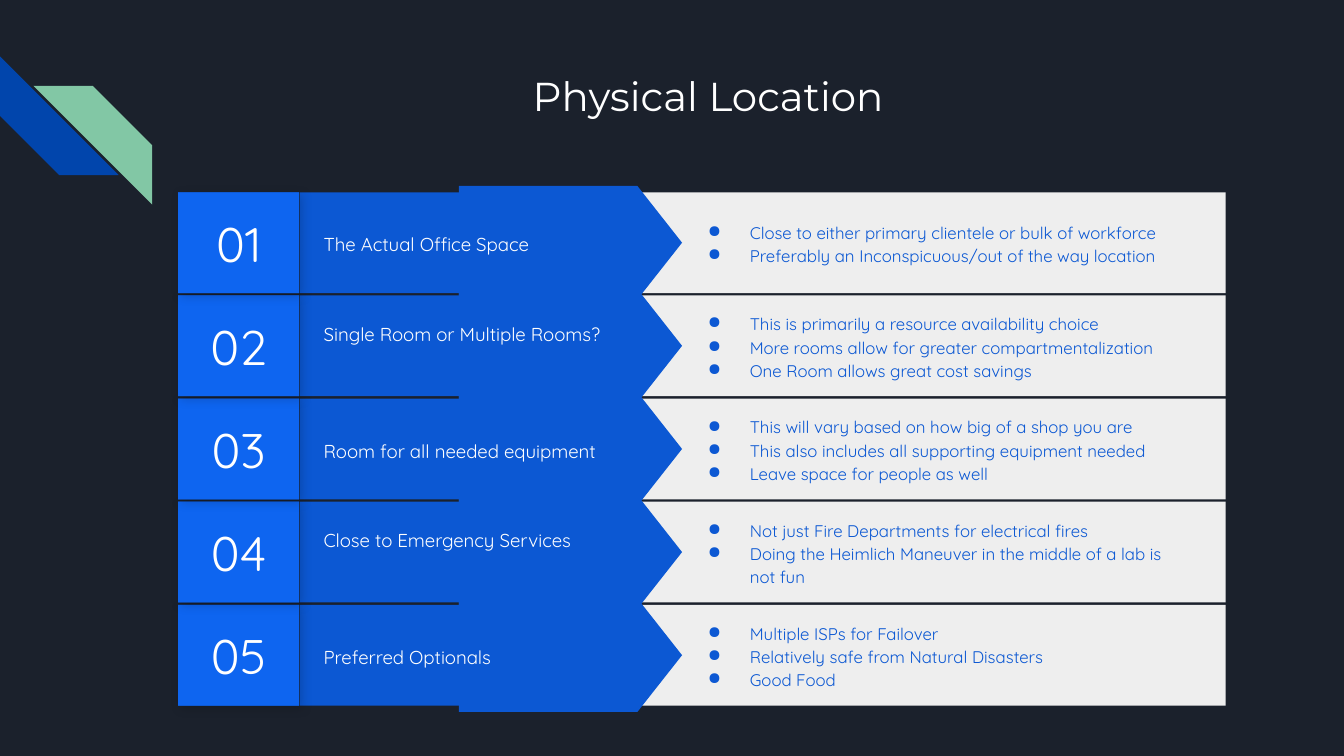
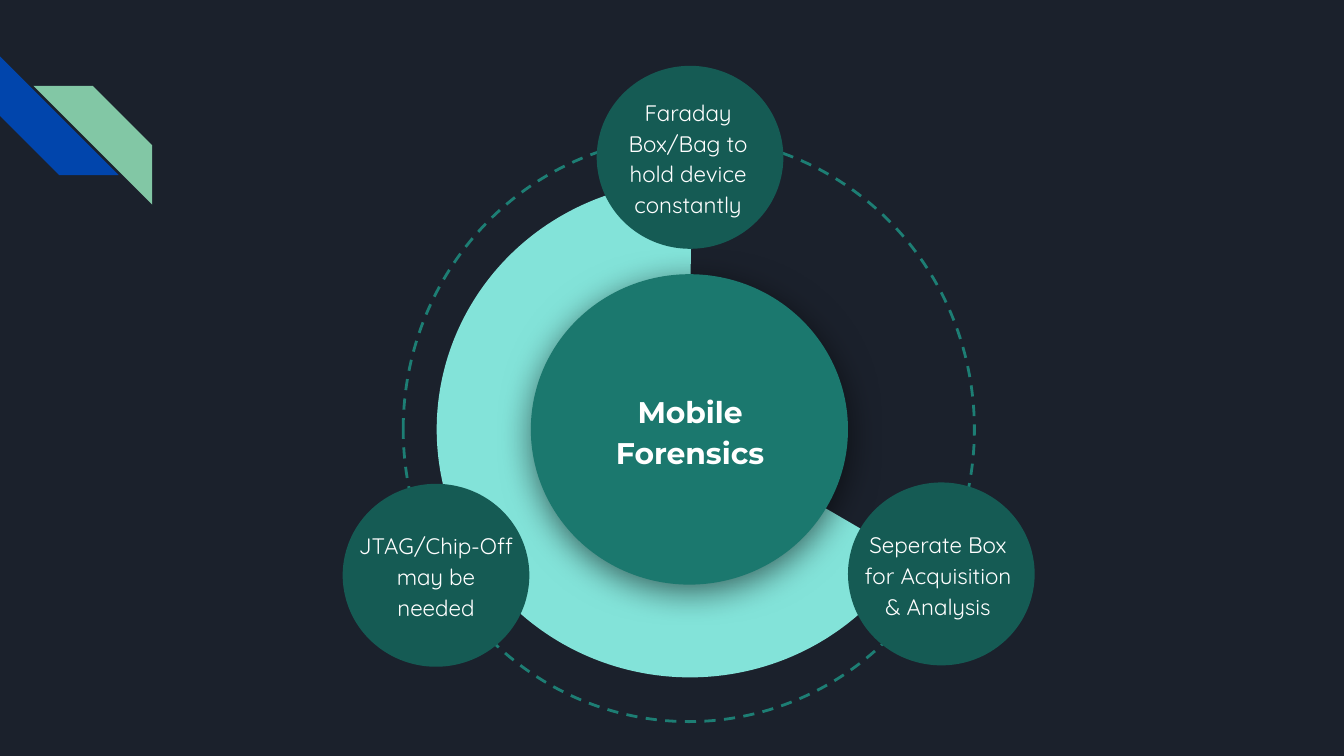
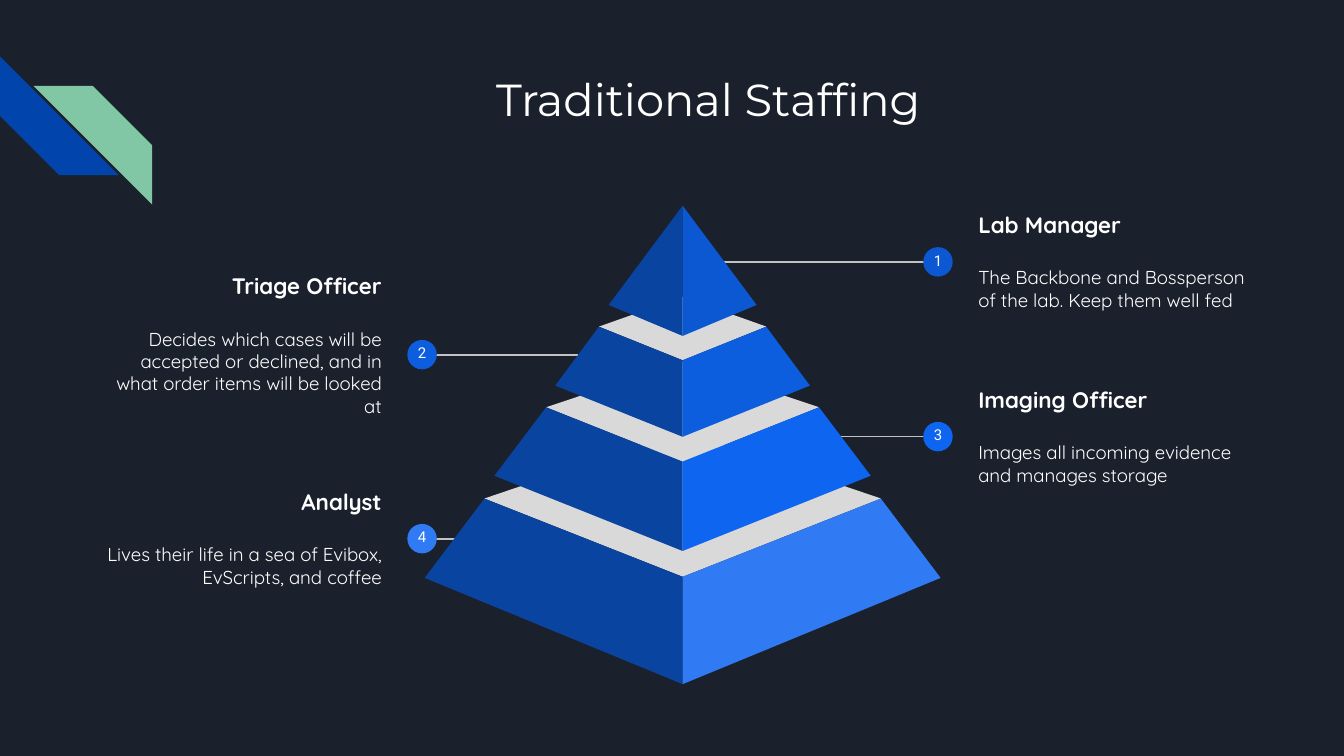
"""Builds three dark slides: a numbered list, a ring diagram and a pyramid."""
import pptx
import pptx.dml.color
import pptx.enum.dml
import pptx.enum.shapes
import pptx.enum.text
import pptx.oxml.ns
import pptx.util
from lxml import etree

Pt = pptx.util.Pt
RGBColor = pptx.dml.color.RGBColor
Shape = pptx.enum.shapes.MSO_SHAPE
Align = pptx.enum.text.PP_ALIGN
Anchor = pptx.enum.text.MSO_ANCHOR
qn = pptx.oxml.ns.qn

NIGHT = RGBColor(0x1B, 0x21, 0x2C)
WHITE = RGBColor(0xFF, 0xFF, 0xFF)
STRIPE_BLUE = RGBColor(0x01, 0x45, 0xAC)
STRIPE_GREEN = RGBColor(0x82, 0xC7, 0xA5)
PANEL = RGBColor(0xEE, 0xEE, 0xEE)
PLATE = RGBColor(0xD9, 0xD9, 0xD9)
RULE = RGBColor(0xC2, 0xC2, 0xC2)
SHADE = RGBColor(0x09, 0x44, 0xA1)
DEEP_BLUE = RGBColor(0x0C, 0x58, 0xD3)
MID_BLUE = RGBColor(0x0D, 0x5D, 0xDF)
BRIGHT_BLUE = RGBColor(0x0E, 0x65, 0xF0)
LIGHT_BLUE = RGBColor(0x30, 0x7B, 0xF3)
DARK_TEAL = RGBColor(0x15, 0x5B, 0x54)
TEAL = RGBColor(0x1B, 0x78, 0x6E)
RING_TEAL = RGBColor(0x1D, 0x7E, 0x74)
MINT = RGBColor(0x83, 0xE3, 0xD9)

HEAD_FONT, BODY_FONT, NUMBER_FONT = "Montserrat", "Quicksand", "Roboto"
TITLE_ONLY, BLANK = 5, 6
INSET = 7.2

LOCATION_ROWS = [
    ("The Actual Office Space", 0, [
        "Close to either primary clientele or bulk of workforce",
        "Preferably an Inconspicuous/out of the way location"]),
    ("Single Room or Multiple Rooms?", 14.4, [
        "This is primarily a resource availability choice",
        "More rooms allow for greater compartmentalization",
        "One Room allows great cost savings"]),
    ("Room for all needed equipment", 0, [
        "This will vary based on how big of a shop you are",
        "This also includes all supporting equipment needed",
        "Leave space for people as well"]),
    ("Close to Emergency Services", 14.4, [
        "Not just Fire Departments for electrical fires",
        "Doing the Heimlich Maneuver in the middle of a lab is not fun"]),
    ("Preferred Optionals", 0, [
        "Multiple ISPs for Failover",
        "Relatively safe from Natural Disasters",
        "Good Food"]),
]

SATELLITES = [
    ((319.7, 35.3), (323.3, 90.7), "Faraday Box/Bag to hold device constantly"),
    ((183.6, 259.2), (183.6, 100), "JTAG/Chip-Off may be needed"),
    ((454.3, 258.5), (454.3, 96.5), "Seperate Box for Acquisition & Analysis"),
]

STAFF = [
    ("1", "Lab Manager", "The Backbone and Bossperson of the lab. Keep them well fed",
     140.4, 386.6, DEEP_BLUE, 0),
    ("2", "Triage Officer", "Decides which cases will be accepted or declined, "
     "and in what order items will be looked at", 190.1, None, MID_BLUE, 10),
    ("3", "Imaging Officer", "Images all incoming evidence and manages storage",
     234, 449.3, BRIGHT_BLUE, 0),
    ("4", "Analyst", "Lives their life in a sea of Evibox, EvScripts, and coffee",
     288.7, None, LIGHT_BLUE, 0),
]

AXIS = 365.7
TIERS = [
    {"shoulder": (106.2, 267.1), "back": 231.1, "front": 309,
     "base": (138.2, 309.6), "foot": 366.5, "color": LIGHT_BLUE},
    {"shoulder": (73.1, 218.2), "back": 193.7, "front": 247.3,
     "base": (100.8, 254.9), "foot": 295.2, "color": BRIGHT_BLUE},
    {"shoulder": (44.8, 175), "back": 159.1, "front": 193,
     "base": (68.2, 206.6), "foot": 234, "color": MID_BLUE},
    {"shoulder": (0, 110.2), "back": None, "front": 110.2,
     "base": (39.6, 163.4), "foot": 180, "color": DEEP_BLUE},
]


class Painter:
    """Holds the deck, its style and the slide being drawn."""

    def __init__(self):
        self.deck = pptx.Presentation()
        self.deck.slide_width, self.deck.slide_height = Pt(720), Pt(405)
        fill = self.deck.slide_master.background.fill
        fill.solid()
        fill.fore_color.rgb = NIGHT
        self.page = None

    def new_page(self, title=None, size=24):
        """Starts a slide with the corner stripes and an optional title."""
        layout = self.deck.slide_layouts[BLANK if title is None else TITLE_ONLY]
        self.page = self.deck.slides.add_slide(layout)
        self.shape(Shape.DIAGONAL_STRIPE, 0, 30.2, 63.6, 63.6, STRIPE_BLUE).rotation = 270
        green = self.shape(Shape.DIAGONAL_STRIPE, 18, 46.1, 63.6, 63.6, STRIPE_GREEN)
        green._element.spPr.find(qn("a:xfrm")).set("flipH", "1")
        if title is not None:
            box = self.page.shapes.title
            box.left, box.top, box.width, box.height = Pt(102.2), Pt(31), Pt(554.4), Pt(72)
            self.frame(box, Anchor.TOP)
            self.add_text(box, title, size, HEAD_FONT, align=Align.CENTER)

    def finish(self, shape, color):
        """Gives a shape a flat fill without outline or shadow."""
        shape.shadow.inherit = False
        shape.line.fill.background()
        if color is None:
            shape.fill.background()
        else:
            shape.fill.solid()
            shape.fill.fore_color.rgb = color
        return shape

    def shape(self, kind, left, top, width, height, color=None):
        """Adds a preset shape."""
        item = self.page.shapes.add_shape(kind, Pt(left), Pt(top), Pt(width), Pt(height))
        return self.finish(item, color)

    def outline(self, points, color):
        """Adds a closed polygon."""
        corners = [(Pt(x), Pt(y)) for x, y in points]
        builder = self.page.shapes.build_freeform(*corners[0])
        builder.add_line_segments(corners[1:], close=True)
        return self.finish(builder.convert_to_shape(), color)

    def cast_shadow(self, shape, opacity, blur, distance, angle):
        """Adds a soft black shadow."""
        effects = shape._element.spPr.find(qn("a:effectLst"))
        shadow = etree.SubElement(
            effects, qn("a:outerShdw"), blurRad=str(Pt(blur)), dist=str(Pt(distance)),
            dir=str(angle * 60000), algn="bl", rotWithShape="0")
        black = etree.SubElement(shadow, qn("a:srgbClr"), val="000000")
        etree.SubElement(black, qn("a:alpha"), val=str(opacity * 1000))

    def line(self, start, end, top):
        """Adds a thin level line."""
        rule = self.page.shapes.add_connector(
            pptx.enum.shapes.MSO_CONNECTOR.STRAIGHT, Pt(start), Pt(top), Pt(end), Pt(top))
        rule.line.color.rgb = RULE
        rule.line.width = Pt(0.75)
        etree.SubElement(rule._element.spPr, qn("a:effectLst"))

    def frame(self, box, anchor=Anchor.MIDDLE, lift=0):
        """Sets wrapping, insets and anchor of a text frame."""
        frame = box.text_frame
        frame.word_wrap = True
        frame.auto_size = pptx.enum.text.MSO_AUTO_SIZE.NONE
        frame.vertical_anchor = anchor
        frame.margin_left = frame.margin_right = frame.margin_top = Pt(INSET)
        frame.margin_bottom = Pt(INSET + lift)

    def text_box(self, left, top, width, height, anchor=Anchor.MIDDLE, lift=0):
        """Adds an empty text box."""
        box = self.page.shapes.add_textbox(Pt(left), Pt(top), Pt(width), Pt(height))
        self.frame(box, anchor, lift)
        return box

    def add_text(self, box, text, size, font=BODY_FONT, color=WHITE, align=Align.LEFT,
                 spacing=1.0, bold=False, before=0, bullet=False):
        """Adds one paragraph, using the empty first one when there is one."""
        frame = box.text_frame
        para = frame.paragraphs[0]
        if para.runs:
            para = frame.add_paragraph()
        para.alignment = align
        para.line_spacing = spacing
        if before:
            para.space_before = Pt(before)
        if bullet:
            props = para._p.get_or_add_pPr()
            props.set("marL", str(Pt(36)))
            props.set("indent", str(Pt(-22.5)))
            tint = etree.SubElement(props, qn("a:buClr"))
            etree.SubElement(tint, qn("a:srgbClr"), val=str(color))
            etree.SubElement(props, qn("a:buChar"), char="●")
        span = para.add_run()
        span.text = text
        span.font.name = font
        span.font.size = Pt(size)
        span.font.bold = bold
        span.font.color.rgb = color


def draw_location(painter):
    """Draws the numbered rows, lowest first."""
    painter.new_page("Physical Location", 21.6)
    for index, (label, lift, points) in reversed(list(enumerate(LOCATION_ROWS))):
        top = 103 + 55.25 * index
        painter.shape(Shape.RECTANGLE, 296.6, top, 360, 54, PANEL)
        painter.shape(Shape.RECTANGLE, 160.6, top, 173.5, 54, DEEP_BLUE)
        pointer = painter.shape(Shape.FLOWCHART_OFFPAGE_CONNECTOR,
                                275.2, top - 32.8, 60.8, 119.6, DEEP_BLUE)
        pointer.rotation = 270
        box = painter.text_box(166.3, top + 6.2, 182.9, 41.8, lift=lift)
        painter.add_text(box, label, 10, spacing=1.15)
        under = painter.shape(Shape.RECTANGLE, 95.5, top, 64.8, 54, MID_BLUE)
        painter.cast_shadow(under, 17, 5.6, 2.2, 45)
        tile = painter.shape(Shape.RECTANGLE, 95.5, top, 64.8, 54, BRIGHT_BLUE)
        painter.frame(tile)
        painter.add_text(tile, f"{index + 1:02}", 26, align=Align.CENTER)
        box = painter.text_box(358.6, top, 279.4, 54)
        for point in points:
            painter.add_text(box, point, 9, color=DEEP_BLUE, spacing=1.15, bullet=True)


def draw_forensics(painter):
    """Draws the hub, its ring and the three satellites."""
    painter.new_page()
    ring = painter.shape(Shape.OVAL, 216, 73.4, 306, 313.2)
    ring.line.color.rgb = RING_TEAL
    ring.line.width = Pt(1.5)
    ring.line.dash_style = pptx.enum.dml.MSO_LINE.DASH
    pie = painter.shape(Shape.PIE, 234, 97.2, 271.4, 265.7, MINT)
    pie.adjustments[0], pie.adjustments[1] = 18.12, 162.15
    hub = painter.shape(Shape.OVAL, 284.4, 146.9, 169.9, 166.3, TEAL)
    painter.cast_shadow(hub, 55, 18, 4, 90)
    box = painter.text_box(306.7, 192.2, 126, 75.6)
    painter.add_text(box, "Mobile Forensics", 16, HEAD_FONT, align=Align.CENTER,
                     spacing=1.15, bold=True)
    for (left, top), (text_left, text_width), text in SATELLITES:
        painter.shape(Shape.OVAL, left, top, 100, 98, DARK_TEAL)
        box = painter.text_box(text_left, top + 15.1, text_width, 67)
        painter.add_text(box, text, 12, align=Align.CENTER, spacing=1.15)


def draw_staffing(painter):
    """Draws the staff notes and the pyramid."""
    painter.new_page("Traditional Staffing")
    for number, role, duty, level, edge, color, lift in STAFF:
        on_right = edge is not None
        text_left, dot_left = (517, 494.6) if on_right else (48.2, 218.2)
        align = Align.LEFT if on_right else Align.RIGHT
        box = painter.text_box(text_left, level - 41.8, 163.4, 82.8, lift=lift)
        painter.add_text(box, role, 12, align=align, bold=True)
        painter.add_text(box, duty, 10, align=align, before=15)
        painter.line(*((edge, 508.3) if on_right else (309.6, 220.3)), level)
        painter.shape(Shape.OVAL, dot_left, level - 8, 15.8, 15.8, color)
        box = painter.text_box(dot_left - 1.8, level - 13, 19.4, 24.5, Anchor.TOP)
        painter.add_text(box, number, 8, NUMBER_FONT, align=Align.CENTER)
    for tier in TIERS:
        reach, shoulder = tier["shoulder"]
        spread, base = tier["base"]
        front, foot = (AXIS, tier["front"]), (AXIS, tier["foot"])
        if tier["back"] is not None:
            painter.outline([(AXIS - reach, shoulder), front, (AXIS + reach, shoulder),
                             (AXIS, tier["back"])], PLATE)
        for side, color in ((-1, SHADE), (1, tier["color"])):
            painter.outline([(AXIS + side * reach, shoulder), (AXIS + side * spread, base),
                             foot, front], color)


def main():
    """Builds and saves the deck."""
    painter = Painter()
    draw_location(painter)
    draw_forensics(painter)
    draw_staffing(painter)
    painter.deck.save("out.pptx")


if __name__ == "__main__":
    main()
